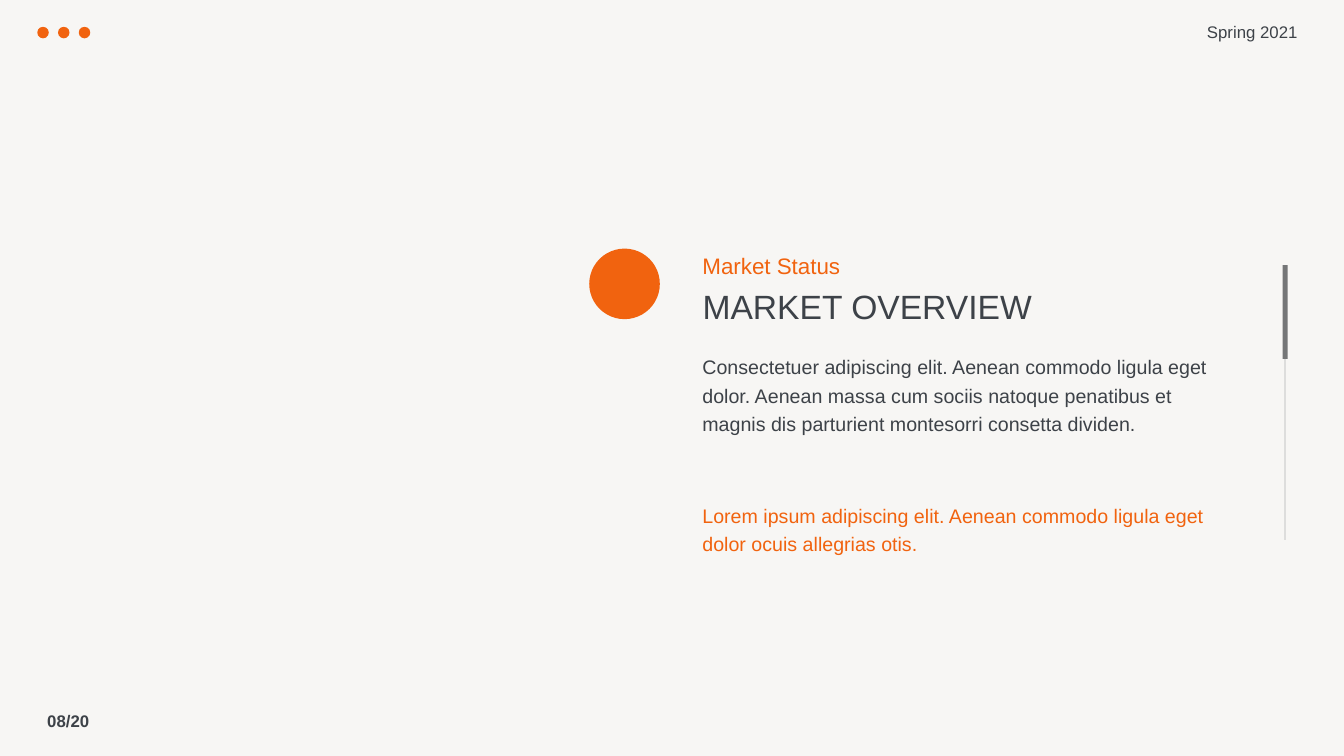
import dataclasses

import pptx
import pptx.dml.color
import pptx.enum.shapes
import pptx.enum.text
import pptx.oxml
import pptx.util

ALIGN = pptx.enum.text.PP_ALIGN
ANCHOR = pptx.enum.text.MSO_ANCHOR
SHAPE = pptx.enum.shapes.MSO_SHAPE


@dataclasses.dataclass(frozen=True)
class Theme:
    """Colours, font and type sizes."""
    font: str = "Arial"
    paper: str = "F7F6F4"
    ink: str = "3D4248"
    accent: str = "F1630F"
    track: str = "DDDDDC"
    thumb: str = "757677"
    small: int = 12
    body: int = 14
    kicker: int = 16
    title: int = 24


class Deck:
    """Draws on the current slide in a grid of 160 columns by 90 rows."""

    def __init__(self, theme):
        """Set up the presentation."""
        self.theme = theme
        self.prs = pptx.Presentation()
        self.prs.slide_width = pptx.util.Inches(13.33)
        self.prs.slide_height = pptx.util.Inches(7.5)
        self.slide = None

    def rgb(self, colour):
        """Return a colour object."""
        return pptx.dml.color.RGBColor.from_string(colour)

    def x(self, columns):
        """Convert columns to a length."""
        return round(self.prs.slide_width * columns / 160)

    def y(self, rows):
        """Convert rows to a length."""
        return round(self.prs.slide_height * rows / 90)

    def box(self, left, top, width, height):
        """Convert a grid box to lengths."""
        return self.x(left), self.y(top), self.x(width), self.y(height)

    def add_slide(self):
        """Start a title-only slide."""
        self.slide = self.prs.slides.add_slide(self.prs.slide_layouts[5])
        fill = self.slide.background.fill
        fill.solid()
        fill.fore_color.rgb = self.rgb(self.theme.paper)

    def set_text(self, sp, text, size, colour, bold=False, align=ALIGN.LEFT,
                 anchor=ANCHOR.TOP, spacing=1.0):
        """Put one styled run in a shape."""
        tf = sp.text_frame
        tf.word_wrap = True
        tf.auto_size = pptx.enum.text.MSO_AUTO_SIZE.NONE
        tf.vertical_anchor = anchor
        p = tf.paragraphs[0]
        p.alignment = align
        p.line_spacing = spacing
        r = p.add_run()
        r.text = text
        r.font.name = self.theme.font
        r.font.size = pptx.util.Pt(size)
        r.font.bold = bold
        r.font.color.rgb = self.rgb(colour)

    def title(self, box, text):
        """Place and fill the title placeholder."""
        sp = self.slide.shapes.title
        sp.left, sp.top, sp.width, sp.height = self.box(*box)
        self.set_text(sp, text, self.theme.title, self.theme.ink, anchor=ANCHOR.BOTTOM)

    def text(self, box, text, size, colour, **style):
        """Add a text box."""
        sp = self.slide.shapes.add_textbox(*self.box(*box))
        self.set_text(sp, text, size, colour, **style)

    def shape(self, kind, box, colour, parent=None):
        """Add a filled shape to the slide or to a group."""
        shapes = (parent or self.slide).shapes
        sp = shapes.add_shape(kind, *self.box(*box))
        sp.shadow.inherit = False
        sp.fill.solid()
        sp.fill.fore_color.rgb = self.rgb(colour)
        sp.line.fill.background()
        return sp

    def dots(self, left, top, size, pitch, count):
        """Add a group of evenly spaced dots."""
        group = self.slide.shapes.add_group_shape()
        for i in range(count):
            self.shape(SHAPE.OVAL, (left + i * pitch, top, size, size),
                       self.theme.accent, group)

    def scrollbar(self, center, top, middle, bottom, width):
        """Add a thumb with the track below it."""
        thumb = self.shape(SHAPE.RECTANGLE,
                           (center - width / 2, top, width, middle - top),
                           self.theme.thumb)
        track = self.slide.shapes.add_connector(
            pptx.enum.shapes.MSO_CONNECTOR.STRAIGHT,
            self.x(center), self.y(middle), self.x(center), self.y(bottom))
        track.begin_connect(thumb, 2)
        track.line.color.rgb = self.rgb(self.theme.track)
        track.line.width = pptx.util.Pt(1.5)
        props = track._element.spPr
        props.append(pptx.oxml.parse_xml(
            '<a:effectLst xmlns:a="http://schemas.openxmlformats.org/drawingml/2006/main"/>'))


def main():
    """Build the market overview slide."""
    theme = Theme()
    deck = Deck(theme)
    deck.add_slide()
    margin, column, measure = 4.44, 82.44, 63.72

    deck.text((margin, 83.4, 36, 4.8), "08/20", theme.small, theme.ink,
              bold=True, anchor=ANCHOR.MIDDLE)
    deck.text((136.7, 1.44, 18.96, 4.8), "Spring 2021", theme.small, theme.ink,
              align=ALIGN.RIGHT, anchor=ANCHOR.MIDDLE)
    deck.text((column, 29.4, 42.6, 4.44), "Market Status", theme.kicker, theme.accent)
    deck.title((column, 33.48, measure, 6), "MARKET OVERVIEW")
    deck.text((column, 41.16, measure, 11.16),
              "Consectetuer adipiscing elit. Aenean commodo ligula eget dolor. "
              "Aenean massa cum sociis natoque penatibus et magnis dis parturient "
              "montesorri consetta dividen.",
              theme.body, theme.ink, spacing=1.2)
    deck.dots(margin, 3.2, 1.37, 2.47, 3)
    deck.scrollbar(153, 31.56, 42.72, 64.32, 0.6)
    deck.text((column, 58.8, measure, 7.8),
              "Lorem ipsum adipiscing elit. Aenean commodo ligula eget dolor "
              "ocuis allegrias otis.",
              theme.body, theme.accent, spacing=1.2)
    deck.shape(SHAPE.OVAL, (70.15, 29.6, 8.4, 8.4), theme.accent)
    deck.prs.save("out.pptx")


if __name__ == "__main__":
    main()
